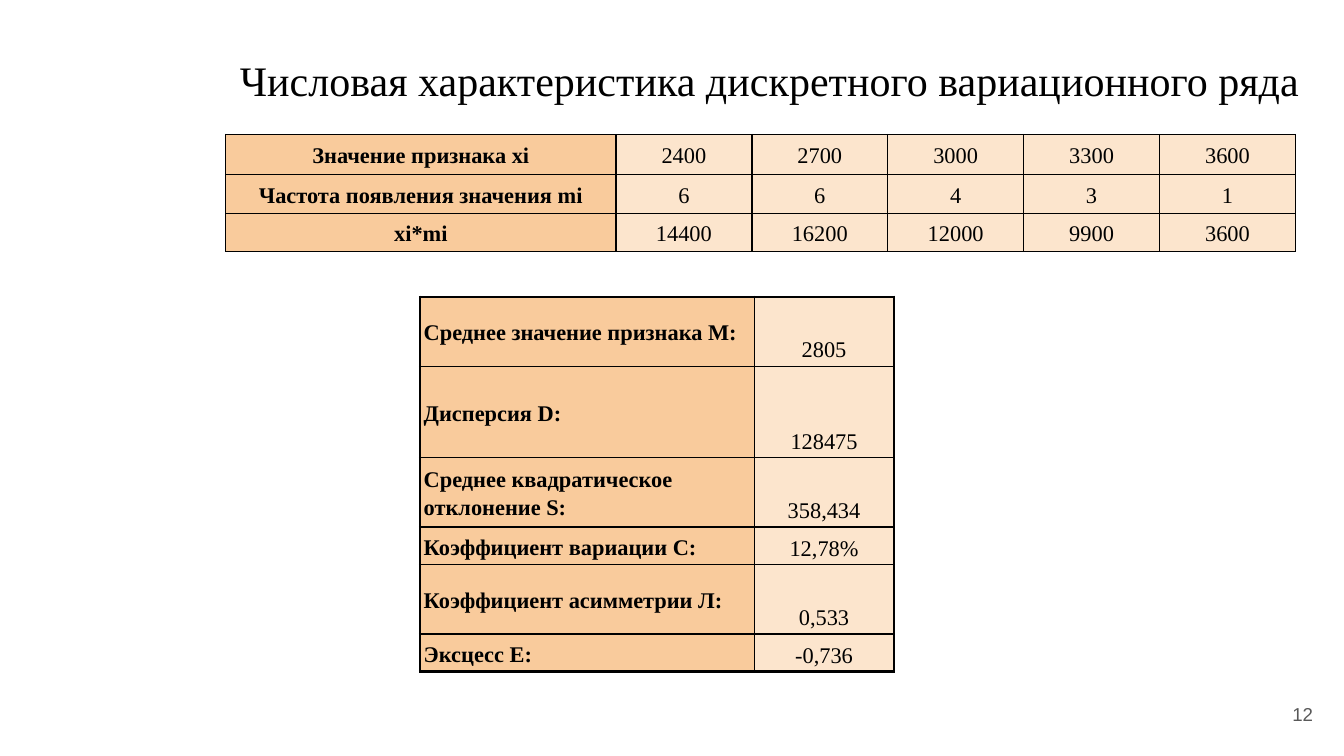
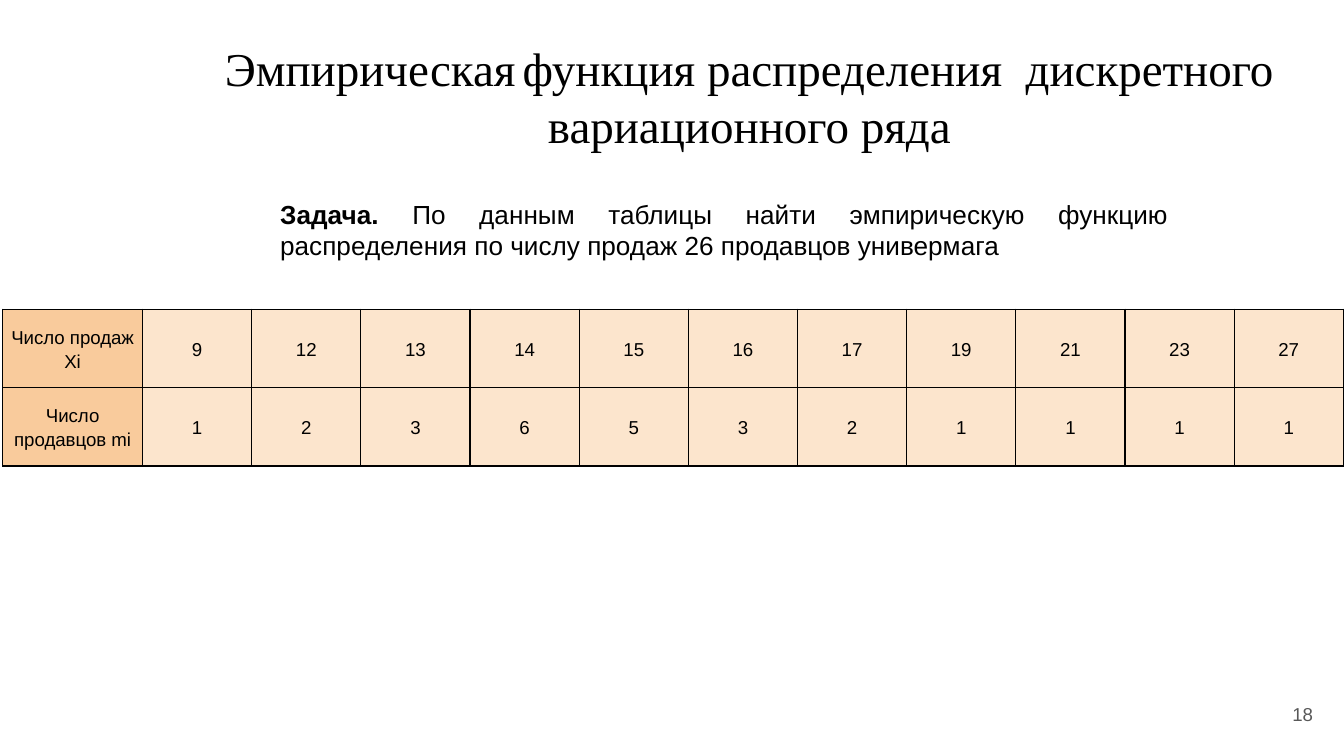
from lxml.etree import SubElement
from pptx import Presentation
from pptx.dml.color import RGBColor
from pptx.enum.text import MSO_ANCHOR, PP_ALIGN
from pptx.oxml.ns import qn
from pptx.util import Pt

BLACK = RGBColor(0x00, 0x00, 0x00)
GRAY = RGBColor(0x59, 0x59, 0x59)
LABEL_FILL = RGBColor(0xF9, 0xCB, 0x9C)
VALUE_FILL = RGBColor(0xFC, 0xE5, 0xCD)
SERIF, SANS = "Times New Roman", "Arial"
THIN, THICK = 0.75, 1.5

# Runs are (text, font format) pairs; boxes are left, top, width, height in points.
SERIES_TITLE = [("Числовая характеристика дискретного вариационного ряда",
                 {"size": Pt(22.5)})]
SERIES = [
    ("Значение признака xi", 2400, 2700, 3000, 3300, 3600),
    ("Частота появления значения mi", 6, 6, 4, 3, 1),
    ("xi*mi", 14400, 16200, 12000, 9900, 3600),
]
STATISTICS = [
    ("Среднее значение признака M:", "2805"),
    ("Дисперсия D:", "128475"),
    ("Среднее квадратическое отклонение S:", "358,434"),
    ("Коэффициент вариации C:", "12,78%"),
    ("Коэффициент асимметрии Л:", "0,533"),
    ("Эксцесс E:", "-0,736"),
]
FUNCTION_TITLE = [
    ("Эмпирическая", {"size": Pt(25.2)}),
    (" ", {"size": Pt(14.4), "bold": True}),
    ("функция распределения  дискретного вариационного ряда", {"size": Pt(25.2)}),
]
TASK = [
    ("Задача.", {"bold": True}),
    (" По данным таблицы найти эмпирическую функцию распределения "
     "по числу продаж 26 продавцов универмага", {}),
]
SALES = [
    ("Число продаж Xi", 9, 12, 13, 14, 15, 16, 17, 19, 21, 23, 27),
    ("Число продавцов mi", 1, 2, 3, 6, 5, 3, 2, 1, 1, 1, 1),
]

TITLE_FONT = {"name": SERIF}
NUMBER_FONT = {"name": SANS, "size": Pt(10), "color": GRAY}
TASK_FONT = {"name": SANS, "size": Pt(14)}
SERIF_CELL = {"name": SERIF, "size": Pt(12)}
SANS_CELL = {"name": SANS, "size": Pt(10)}


def apply(target, settings):
    for name, value in settings.items():
        setattr(target, name, value)


def write(paragraph, runs, base, **layout):
    apply(paragraph, layout)
    for text, extra in runs:
        run = paragraph.add_run()
        run.text = text
        font = {"bold": False, "color": BLACK, **base, **extra}
        run.font.color.rgb = font.pop("color")
        apply(run.font, font)


def add_text(slide, box, runs, base, anchor=MSO_ANCHOR.MIDDLE, **layout):
    frame = slide.shapes.add_textbox(*map(Pt, box)).text_frame
    margins = dict.fromkeys(
        ("margin_left", "margin_top", "margin_right", "margin_bottom"), Pt(7.2))
    apply(frame, {"word_wrap": True, "vertical_anchor": anchor, **margins})
    write(frame.paragraphs[0], runs, base, **layout)


def add_borders(cell, widths):
    """Draw black cell borders; widths maps the sides L, R, T, B to points."""
    properties = cell._tc.get_or_add_tcPr()
    for side in "LRTB":
        line = SubElement(properties, qn(f"a:ln{side}"), w=str(Pt(widths[side])))
        SubElement(SubElement(line, qn("a:solidFill")), qn("a:srgbClr"), val=str(BLACK))


def add_grid(slide, left, top, columns, heights, rows, font, label_bold=True,
             label_align=PP_ALIGN.CENTER, value_anchor=MSO_ANCHOR.MIDDLE,
             pad=1.8, outer=THIN):
    """Add a table whose first column holds the row labels."""
    grid = slide.shapes.add_table(len(rows), len(columns), Pt(left), Pt(top),
                                  Pt(sum(columns)), Pt(sum(heights))).table
    apply(grid, {"first_row": False, "horz_banding": False})
    for column, width in zip(grid.columns, columns):
        column.width = Pt(width)
    for row, height in zip(grid.rows, heights):
        row.height = Pt(height)
    last_row, last_column = len(rows) - 1, len(columns) - 1
    for r, values in enumerate(rows):
        for c, value in enumerate(values):
            cell, is_label = grid.cell(r, c), c == 0
            at_edge = {"L": is_label, "R": c == last_column,
                       "T": r == 0, "B": r == last_row}
            add_borders(cell, {side: outer if edge else THIN
                               for side, edge in at_edge.items()})
            cell.fill.solid()
            cell.fill.fore_color.rgb = LABEL_FILL if is_label else VALUE_FILL
            apply(cell, {
                "margin_left": Pt(2), "margin_right": Pt(2),
                "margin_top": Pt(pad), "margin_bottom": Pt(pad),
                "vertical_anchor": MSO_ANCHOR.MIDDLE if is_label else value_anchor,
            })
            write(cell.text_frame.paragraphs[0],
                  [(str(value), {"bold": is_label and label_bold})], font,
                  alignment=label_align if is_label else PP_ALIGN.CENTER,
                  line_spacing=1.15)


def add_slide(deck, number, title, left, top, anchor, **layout):
    slide = deck.slides.add_slide(deck.slide_layouts[6])
    add_text(slide, (left, top, 597, 45), title, TITLE_FONT, anchor,
             alignment=PP_ALIGN.CENTER, **layout)
    add_text(slide, (667.5, 367, 43, 31), [(str(number), {})], NUMBER_FONT,
             alignment=PP_ALIGN.RIGHT)
    return slide


def main():
    deck = Presentation()
    apply(deck, {"slide_width": Pt(720), "slide_height": Pt(405)})

    slide = add_slide(deck, 12, SERIES_TITLE, 114, 18, MSO_ANCHOR.MIDDLE,
                      line_spacing=1.15, space_before=Pt(16), space_after=Pt(4))
    add_grid(slide, 121, 72, [209] + [72.8] * 5, [21.5, 21, 18], SERIES, SERIF_CELL)
    add_grid(slide, 225, 159, [179, 75], [37.2, 49, 37.2, 20, 37.2, 20],
             STATISTICS, SERIF_CELL, label_align=PP_ALIGN.LEFT,
             value_anchor=MSO_ANCHOR.BOTTOM, outer=THICK)

    slide = add_slide(deck, 18, FUNCTION_TITLE, 103, 14, MSO_ANCHOR.TOP)
    add_grid(slide, 1.4, 165.6, [75] + [58.5] * 11, [40, 40], SALES, SANS_CELL,
             label_bold=False, pad=7.2)
    add_text(slide, (143, 99, 490, 48), TASK, TASK_FONT, alignment=PP_ALIGN.JUSTIFY)

    deck.save("out.pptx")


if __name__ == "__main__":
    main()
